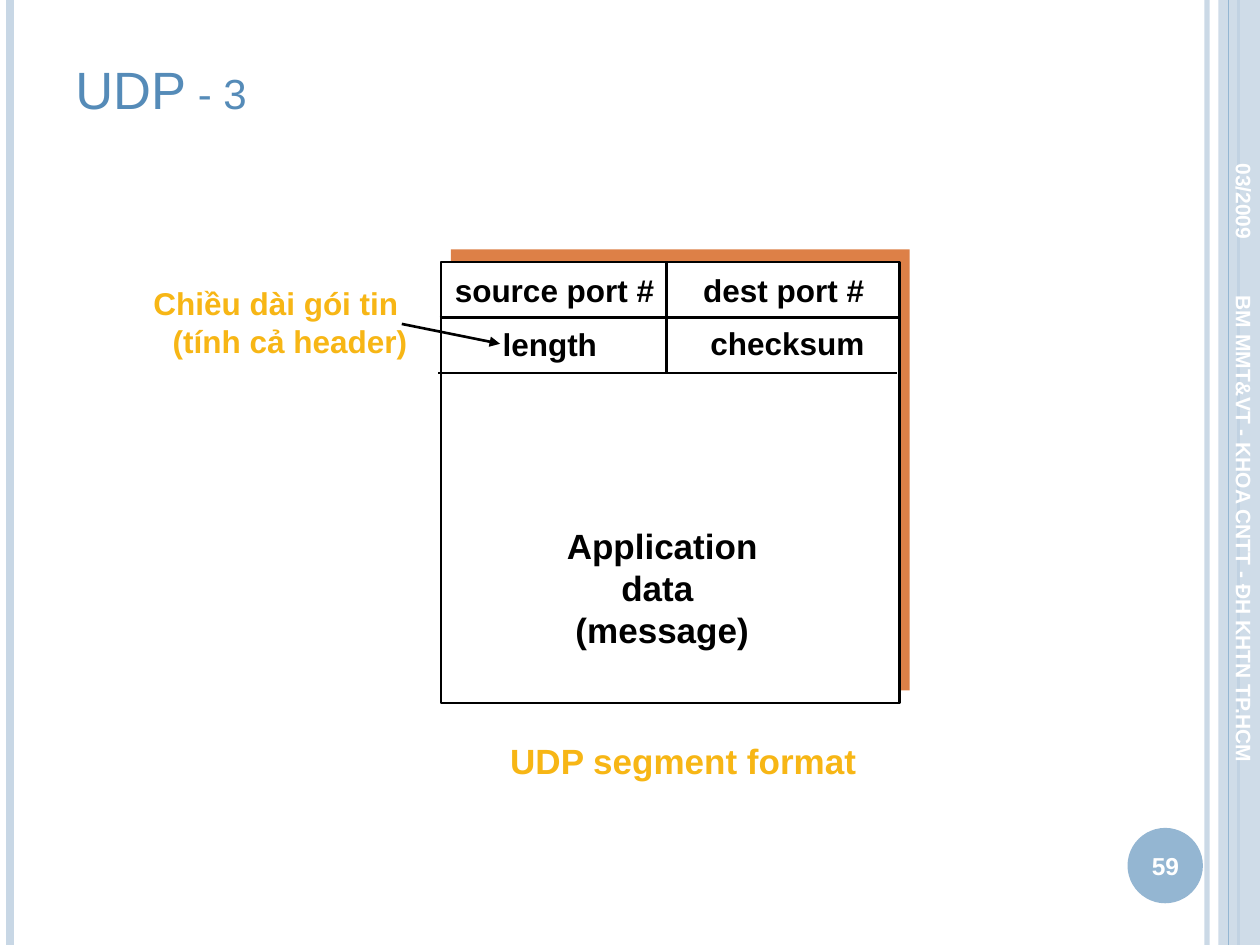
from lxml.etree import SubElement
from pptx import Presentation
from pptx.dml.color import RGBColor
from pptx.enum.shapes import MSO_CONNECTOR, MSO_SHAPE
from pptx.enum.text import MSO_ANCHOR as ANCHOR, MSO_AUTO_SIZE as FIT, PP_ALIGN as ALIGN
from pptx.oxml.ns import qn
from pptx.util import Cm, Pt

BLUE, PALE, AMBER = "94B6D2", "C8D7E5", "F7B615"
WHITE, BLACK = "FFFFFF", "000000"


def rgb(color):
    return RGBColor.from_string(color)


def set_alpha(fill, percent):
    color = fill._xPr.find(qn("a:solidFill"))[0]
    SubElement(color, qn("a:alpha"), val=str(percent * 1000))


def add_block(s, kind, x, y, w, h, color, outline=None):
    sp = s.shapes.add_shape(kind, Cm(x), Cm(y), Cm(w), Cm(h))
    sp.shadow.inherit = False
    sp.fill.solid()
    sp.fill.fore_color.rgb = rgb(color)
    if outline:
        sp.line.color.rgb = rgb(outline)
        sp.line.width = Pt(1.5)
    else:
        sp.line.fill.background()
    return sp


def add_line(s, x1, y1, x2, y2, color=BLACK, width=1.5, arrow=False):
    line = s.shapes.add_connector(MSO_CONNECTOR.STRAIGHT, Cm(x1), Cm(y1), Cm(x2), Cm(y2))
    line.line.color.rgb = rgb(color)
    line.line.width = Pt(width)
    if arrow:
        SubElement(line.line._get_or_add_ln(), qn("a:tailEnd"), type="triangle")
    SubElement(line._element.spPr, qn("a:effectLst"))
    return line


def add_text(s, text, x, y, w, h, size, color=BLACK, bold=True, align=ALIGN.CENTER,
             anchor=ANCHOR.TOP, wrap=False):
    sp = s.shapes.add_textbox(Cm(x), Cm(y), Cm(w), Cm(h))
    tf = sp.text_frame
    tf.word_wrap = wrap
    tf.auto_size = FIT.NONE if wrap else FIT.SHAPE_TO_FIT_TEXT
    tf.vertical_anchor = anchor
    tf.text = text
    for p in tf.paragraphs:
        p.alignment = align
        p.font.name = "Arial"
        p.font.size = Pt(size)
        p.font.bold = bold
        p.font.color.rgb = rgb(color)
    return sp


def add_frame(s, w, h):
    rail = add_line(s, w - 1.07, 0, w - 1.07, h, PALE, 3)
    set_alpha(rail.line.fill, 93)
    add_line(s, 0.2, 0, 0.2, h, PALE, 4.5)
    add_line(s, w - 0.43, 0, w - 0.43, h, BLUE, 1.5)
    band = add_block(s, MSO_SHAPE.RECTANGLE, w - 0.84, 0, 0.84, h, PALE)
    set_alpha(band.fill, 87)
    add_line(s, w - 0.64, 0, w - 0.64, h, BLUE, 0.75)


def add_title(s, x, y, w, h):
    sp = add_text(s, "UDP - 3", x, y, w, h, 30, "558BB8", False, ALIGN.LEFT,
                  ANCHOR.BOTTOM, True)
    r = sp.text_frame.paragraphs[0].runs[0]
    r._r.get_or_add_rPr().set("cap", "small")


def add_page_number(s, x, y, size):
    add_block(s, MSO_SHAPE.OVAL, x, y, size, size, BLUE)
    add_text(s, "59", x - 0.08, y + 0.05, size + 0.17, size - 0.08, 14, WHITE,
             anchor=ANCHOR.MIDDLE, wrap=True)


def add_side_text(s, center):
    items = [
        ("03/2009", 4.06, 3.28, 1.07, ALIGN.CENTER),
        ("BM MMT&VT - KHOA CNTT - ĐH KHTN TP.HCM", 11.96, 12.5, 1.02, ALIGN.LEFT),
    ]
    for text, middle, w, h, align in items:
        sp = add_text(s, text, center - w / 2, middle - h / 2, w, h, 12, WHITE,
                      align=align, anchor=ANCHOR.MIDDLE, wrap=True)
        sp.rotation = 90


def add_segment(s, x, y, w, h):
    row, column = 1.12, 4.55
    add_block(s, MSO_SHAPE.RECTANGLE, x + 0.2, y - 0.25, w, h, "DD8047")
    add_block(s, MSO_SHAPE.RECTANGLE, x, y, w, h, WHITE, BLACK)
    for i in (1, 2):
        bottom, left = y + i * row, x - 0.03 * i
        add_line(s, left, bottom, left + w, bottom)
        add_line(s, x + column, bottom, x + column, bottom - row)
    fields = [
        ("source port #", -0.07, 0.05, 4.72),
        ("dest port #", 4.98, 0.05, 3.86),
        ("length", 0.94, 1.14, 2.51),
        ("checksum", 5.13, 1.12, 3.71),
    ]
    for text, dx, dy, width in fields:
        add_text(s, text, x + dx, y + dy, width, 1.02, 18)
    add_text(s, "Application\ndata \n(message)", x + 2.19, y + 5.16, 4.54, 2.79, 20)
    add_text(s, "UDP segment format", x + 1.09, y + 9.5, 7.59, 1.09, 20, AMBER)


def add_length_note(s, x, y, w, h):
    add_text(s, "Chiều dài gói tin \n(tính cả header)", x, y, w, h, 18, AMBER,
             align=ALIGN.RIGHT)
    add_line(s, x + 5.28, y + 0.92, x + 7.26, y + 1.32, arrow=True)


def main():
    prs = Presentation()
    prs.slide_width, prs.slide_height = Cm(25.4), Cm(19.05)
    s = prs.slides.add_slide(prs.slide_layouts[6])
    add_frame(s, 25.4, 19.05)
    add_title(s, 1.27, 0.76, 21.39, 1.78)
    add_page_number(s, 22.73, 16.69, 1.52)
    add_segment(s, 8.89, 5.28, 9.25, 8.89)
    add_length_note(s, 2.82, 5.61, 5.64, 1.78)
    add_side_text(s, 25.08)
    prs.save("out.pptx")


if __name__ == "__main__":
    main()
